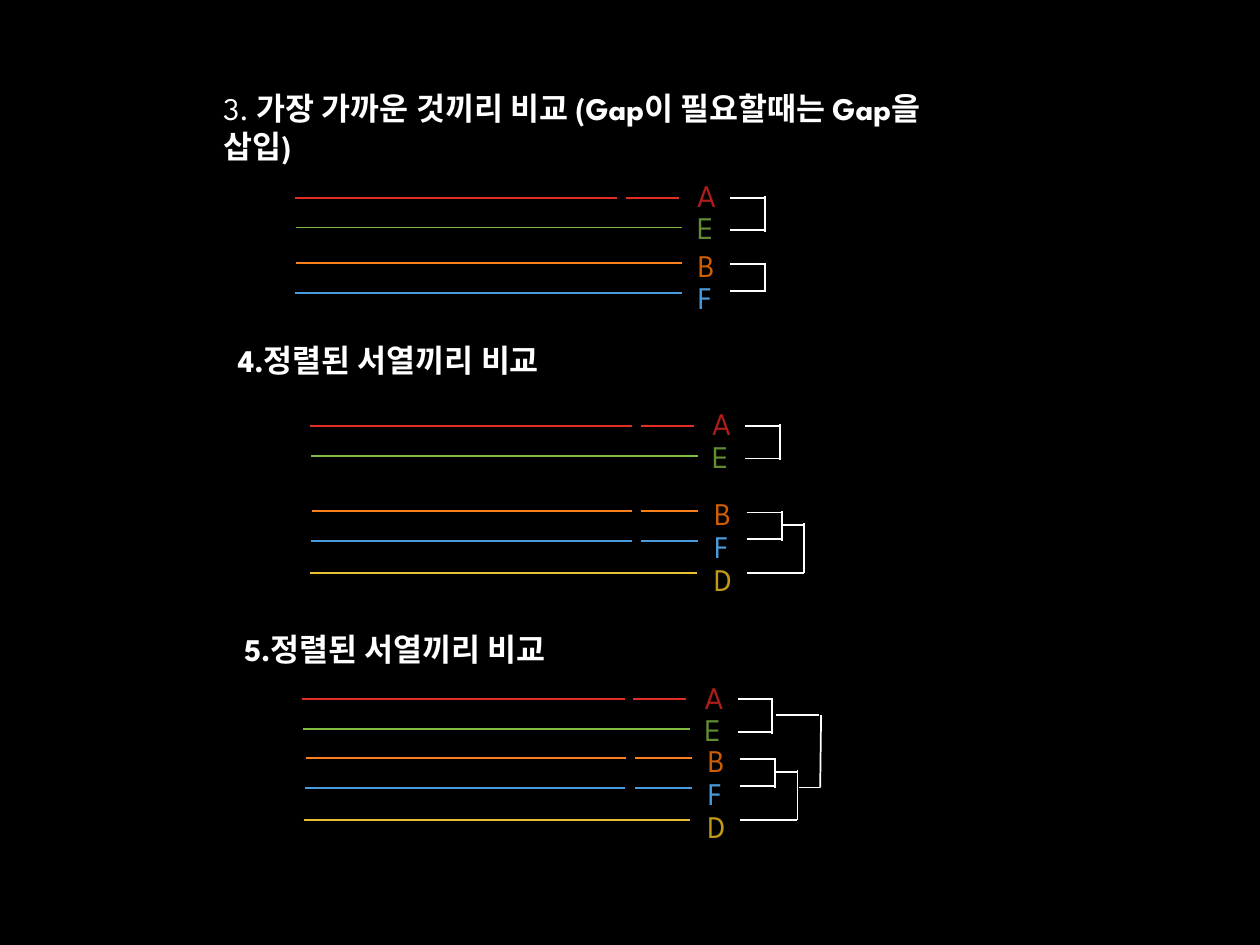
import pptx
import pptx.dml.color
import pptx.enum.shapes
import pptx.enum.text
import pptx.util
from lxml import etree

Pt = pptx.util.Pt
FONT = "League Spartan"
DRAWING_NS = "{http://schemas.openxmlformats.org/drawingml/2006/main}"
COLORS = {
    "background": "000000", "white": "FFFFFF",
    "line A": "DF2E28", "line E": "81BB42", "line B": "FE801A",
    "line F": "4A9BDC", "line D": "E9BF35",
    "A": "AC1E1A", "E": "618C32", "B": "D15E01", "F": "4A9BDC", "D": "C19915",
}

presentation = pptx.Presentation()
presentation.slide_width = Pt(720)
presentation.slide_height = Pt(540)
slide = presentation.slides.add_slide(presentation.slide_layouts[6])
slide.background.fill.solid()
slide.background.fill.fore_color.rgb = pptx.dml.color.RGBColor.from_string(COLORS["background"])


def add_line(x1, y1, x2, y2, color="white"):
    line = slide.shapes.add_connector(
        pptx.enum.shapes.MSO_CONNECTOR.STRAIGHT, Pt(x1), Pt(y1), Pt(x2), Pt(y2))
    line.line.color.rgb = pptx.dml.color.RGBColor.from_string(COLORS[color])
    line.line.width = Pt(1)
    etree.SubElement(line._element.spPr, DRAWING_NS + "effectLst")


def add_text(x, y, width, runs, color="white", wrap=False):
    box = slide.shapes.add_textbox(Pt(x), Pt(y), Pt(width), Pt(29))
    frame = box.text_frame
    frame.word_wrap = wrap
    frame.auto_size = pptx.enum.text.MSO_AUTO_SIZE.SHAPE_TO_FIT_TEXT
    paragraph = frame.paragraphs[0]
    paragraph.font.name = FONT
    paragraph.font.size = Pt(18)
    paragraph.font.color.rgb = pptx.dml.color.RGBColor.from_string(COLORS[color])
    for text, bold in runs:
        run = paragraph.add_run()
        run.text = text
        if bold:
            run.font.bold = True


# Headings
add_text(120.4, 47.6, 438.5, [("3. ", False),
         ("가장 가까운 것끼리 비교 (Gap이 필요할때는 Gap을 삽입)", True)], wrap=True)
add_text(128.8, 191.5, 210, [("4.정렬된 서열끼리 비교", True)])
add_text(132.5, 356.4, 200, [("5.정렬된 서열끼리 비교", True)])

# Pair A and E: a gap in A, closed by a bracket
for x, y in [(168.5, 113), (177.1, 243.4), (172.8, 399.6)]:
    add_line(x, y, x + 184.3, y, "line A")
    add_line(x + 189, y, x + 219.3, y, "line A")
    add_line(x + 0.5, y + 17, x + 221.5, y + 17, "line E")
    add_text(x + 222.8, y - 16, 25, [("A", False)], "A")
    add_text(x + 222.8, y + 2.6, 24, [("E", False)], "E")
    for bar_y in (y, y + 18.6):
        add_line(x + 248.7, bar_y, x + 268.5, bar_y)
    add_line(x + 268.5, y - 1, x + 268.5, y + 19.6)

# Pair B and F: gaps only after the first comparison
for x, y, has_gap in [(168.5, 150.4, False), (177.9, 292.2, True), (174.2, 433.3, True)]:
    for name, line_y, start in [("line B", y, x + 0.5), ("line F", y + 17, x)]:
        if has_gap:
            add_line(start, line_y, start + 183, line_y, name)
            add_line(x + 188.6, line_y, x + 221, line_y, name)
        else:
            add_line(start, line_y, x + 221, line_y, name)
    add_text(x + 223.2, y - 13.3, 24.5, [("B", False)], "B")
    add_text(x + 223.2, y + 5.2, 23, [("F", False)], "F")
    for bar_y in (y + 0.6, y + 16):
        add_line(x + 248.8, bar_y, x + 268.8, bar_y)
    add_line(x + 268.8, y, x + 268.8, y + 16.7)

# Sequence D, joined to the B and F pair
for x, y in [(177.2, 327.5), (173.5, 468.6)]:
    add_line(x, y, x + 221, y, "line D")
    add_text(x + 223.8, y - 10.8, 23, [("D", False)], "D")
    add_line(x + 249.6, y, x + 282.2, y)
    add_line(x + 269.4, y - 27.4, x + 282.2, y - 27.4)
    add_line(x + 282.2, y, x + 282.2, y - 28.7)

# Final join of both clusters
add_line(443.5, 408.7, 468, 408.7)
add_line(468.7, 450, 469.2, 408.7)
add_line(456.5, 450, 468.7, 450)

presentation.save("out.pptx")
